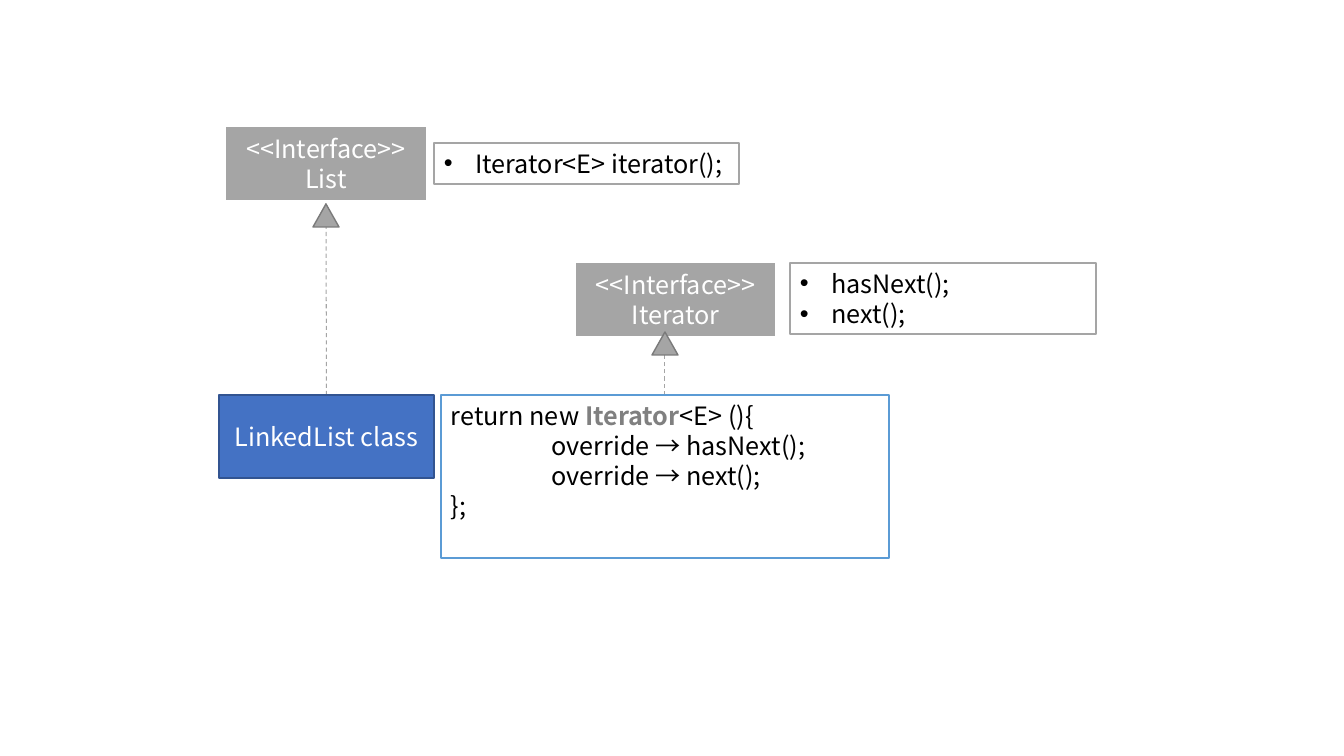
from lxml.etree import SubElement
from pptx import Presentation
from pptx.dml.color import RGBColor
from pptx.enum.dml import MSO_LINE
from pptx.enum.shapes import MSO_CONNECTOR, MSO_SHAPE
from pptx.enum.text import MSO_ANCHOR, PP_ALIGN
from pptx.oxml.ns import qn
from pptx.util import Pt

PX = 914400 / 100.8
FONT = "Noto Sans CJK KR"
GREY, WHITE, BLACK = "A5A5A5", "FFFFFF", "000000"

deck = Presentation()
deck.slide_width, deck.slide_height = round(1344 * PX), round(756 * PX)
slide = deck.slides.add_slide(deck.slide_layouts[6])


def color(code):
    return RGBColor.from_string(code)


def write(shape, lines, ink=BLACK, align=PP_ALIGN.LEFT, anchor=MSO_ANCHOR.TOP, bullet=False):
    frame = shape.text_frame
    frame.word_wrap = True
    frame.vertical_anchor = anchor
    for row, line in enumerate(lines):
        para = frame.add_paragraph() if row else frame.paragraphs[0]
        para.alignment = align
        props = para._p.get_or_add_pPr()
        if bullet:
            props.set("marL", "285750")
            props.set("indent", "-285750")
            SubElement(props, qn("a:buFont")).set("typeface", "Arial")
            SubElement(props, qn("a:buChar")).set("char", "•")
        elif line.startswith("override"):
            props.set("marL", "914400")
        for part, text in enumerate(line.split("**")):
            strong = part % 2 == 1
            run = para.add_run()
            run.text = text
            run.font.size = Pt(18)
            run.font.name = FONT
            run.font.bold = strong
            run.font.color.rgb = color("808080" if strong else ink)
            SubElement(run._r.get_or_add_rPr(), qn("a:ea")).set("typeface", FONT)


middle = dict(ink=WHITE, align=PP_ALIGN.CENTER, anchor=MSO_ANCHOR.MIDDLE)
bullets = dict(bullet=True)
code = [
    "return new **Iterator**<E> (){",
    "override → hasNext();",
    "override → next();",
    "};",
]
boxes = [
    ("list", (225, 126, 202, 75), GREY, WHITE, 1.5, ["<<Interface>>", "List"], middle),
    ("factory", (434, 143, 305, 41), WHITE, GREY, 1, ["Iterator<E> iterator();"], bullets),
    ("linked", (219, 395, 215, 83), "4472C4", "325491", 1, ["LinkedList class"], middle),
    ("code", (441, 395, 448, 163), WHITE, "5B9BD5", 1, code, {}),
    ("iterator", (575, 262, 201, 75), GREY, WHITE, 1.5, ["<<Interface>>", "Iterator"], middle),
    ("methods", (790, 263, 306, 71), WHITE, GREY, 1, ["hasNext();", "next();"], bullets),
    ("list tip", (313, 204, 26, 23), GREY, "7A7A7A", 1, [], {}),
    ("iterator tip", (652, 332, 26, 23), GREY, "7A7A7A", 1, [], {}),
]

links = []
for left, top in ((326, 201), (665, 355)):
    ends = [round(n * PX) for n in (left, 395, left, top)]
    link = slide.shapes.add_connector(MSO_CONNECTOR.STRAIGHT, *ends)
    link.line.color.rgb = color(GREY)
    link.line.width = Pt(0.75)
    link.line.dash_style = MSO_LINE.DASH
    SubElement(link._element.spPr, qn("a:effectLst"))
    links.append(link)

shapes = {}
for name, place, fill, edge, width, lines, style in boxes:
    kind = MSO_SHAPE.RECTANGLE if lines else MSO_SHAPE.ISOSCELES_TRIANGLE
    shape = slide.shapes.add_shape(kind, *[round(n * PX) for n in place])
    shape.shadow.inherit = False
    shape.fill.solid()
    shape.fill.fore_color.rgb = color(fill)
    shape.line.color.rgb = color(edge)
    shape.line.width = Pt(width)
    if lines:
        write(shape, lines, **style)
    shapes[name] = shape

links[0].begin_connect(shapes["linked"], 0)
links[0].end_connect(shapes["list"], 2)
links[1].begin_connect(shapes["code"], 0)

deck.save("out.pptx")
